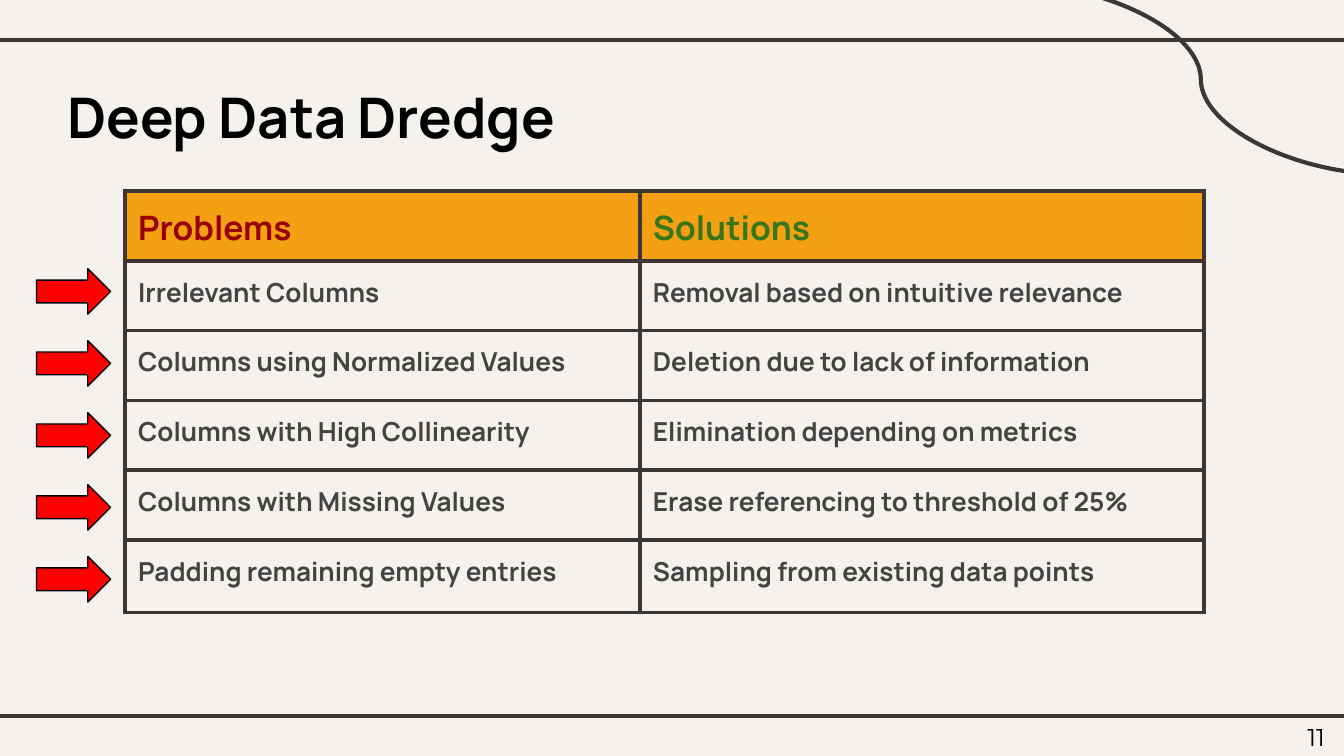
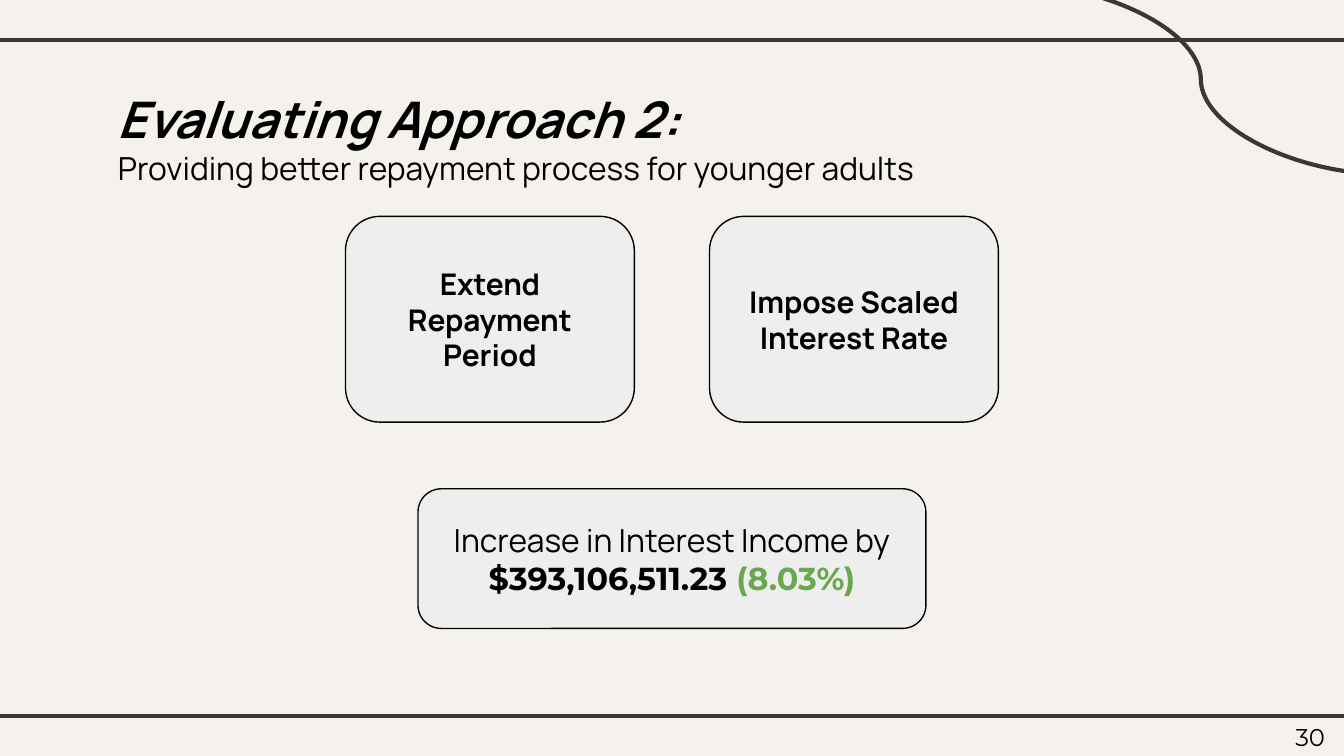
from lxml import etree
from pptx import Presentation
from pptx.dml.color import RGBColor
from pptx.enum import shapes, text
from pptx.oxml.ns import qn
from pptx.util import Cm, Pt

# ---- Content ----
DREDGE = {
    "title": "Deep Data Dredge",
    "number": "11",
    "header": ("Problems", "Solutions"),
    "rows": [
        ("Irrelevant Columns", "Removal based on intuitive relevance"),
        ("Columns using Normalized Values", "Deletion due to lack of information"),
        ("Columns with High Collinearity", "Elimination depending on metrics"),
        ("Columns with Missing Values", "Erase referencing to threshold of 25%"),
        ("Padding remaining empty entries", "Sampling from existing data points"),
    ],
}
APPROACH = {
    "title": "Evaluating Approach 2:",
    "subtitle": "Providing better repayment process for younger adults",
    "number": "30",
    "measures": ("Extend Repayment Period", "Impose Scaled Interest Rate"),
    "result": ("Increase in Interest Income by ", "$393,106,511.23 ", "(8.03%)"),
}

# ---- Shared look ----
PAPER = RGBColor(0xF5, 0xF2, 0xEE)
RULE = RGBColor(0x3F, 0x35, 0x33)
BLACK = RGBColor(0x00, 0x00, 0x00)
ORANGE = RGBColor(0xF3, 0xA1, 0x12)
PROBLEM_RED = RGBColor(0x99, 0x00, 0x00)
SOLUTION_GREEN = RGBColor(0x38, 0x76, 0x1D)
BODY_GREY = RGBColor(0x43, 0x43, 0x43)
ARROW_RED = RGBColor(0xFF, 0x00, 0x00)
CARD_GREY = RGBColor(0xEE, 0xEE, 0xEE)
GAIN_GREEN = RGBColor(0x6A, 0xA8, 0x4F)

SLIDE_W, SLIDE_H = 25.4, 14.29
INSET = Cm(0.25)
RULE_WIDTH = Pt(2.25)
LINK = shapes.MSO_CONNECTOR
FRAME_LINES = [
    (LINK.STRAIGHT, -0.2, 0.76, 25.6, 0.76),
    (LINK.STRAIGHT, -0.2, 13.54, 25.6, 13.54),
    (LINK.CURVE, 19.13, -0.3, 26.26, 3.3),
]


def font(size, color=BLACK, name="Manrope", bold=False, italic=False):
    return {"size": Pt(size), "name": name, "bold": bold, "italic": italic, "color": color}


def add_runs(paragraph, runs, align=text.PP_ALIGN.LEFT):
    paragraph.alignment = align
    for words, style in runs:
        run = paragraph.add_run()
        run.text = words
        for key, value in style.items():
            if key == "color":
                run.font.color.rgb = value
            else:
                setattr(run.font, key, value)


def set_margins(target):
    for side in ("left", "top", "right", "bottom"):
        setattr(target, f"margin_{side}", INSET)


def add_text(slide, left, top, width, height):
    frame = slide.shapes.add_textbox(Cm(left), Cm(top), Cm(width), Cm(height)).text_frame
    frame.word_wrap = True
    set_margins(frame)
    return frame


def add_filled(slide, kind, left, top, width, height, fill):
    shape = slide.shapes.add_shape(kind, Cm(left), Cm(top), Cm(width), Cm(height))
    shape.shadow.inherit = False
    shape.fill.solid()
    shape.fill.fore_color.rgb = fill
    shape.line.color.rgb = BLACK
    shape.line.width = Pt(0.75)
    return shape


def add_card(slide, left, top, width, height, runs):
    card = add_filled(slide, shapes.MSO_SHAPE.ROUNDED_RECTANGLE,
                      left, top, width, height, CARD_GREY)
    frame = card.text_frame
    frame.word_wrap = True
    frame.vertical_anchor = text.MSO_ANCHOR.MIDDLE
    set_margins(frame)
    add_runs(frame.paragraphs[0], runs, text.PP_ALIGN.CENTER)


def add_base_slide(deck, number):
    slide = deck.slides.add_slide(deck.slide_layouts[6])
    slide.background.fill.solid()
    slide.background.fill.fore_color.rgb = PAPER
    for kind, *ends in FRAME_LINES:
        line = slide.shapes.add_connector(kind, *(Cm(end) for end in ends))
        line.line.color.rgb = RULE
        line.line.width = RULE_WIDTH
        etree.SubElement(line._element.spPr, qn("a:effectLst"))
    page = add_text(slide, 23.77, 13.41, 1.52, 1.09)
    add_runs(page.paragraphs[0], [(number, font(13, name="Montserrat"))],
             text.PP_ALIGN.RIGHT)
    return slide


# ---- Problems and solutions table ----
def border_cell(cell):
    properties = cell._tc.get_or_add_tcPr()
    for position, side in enumerate(("lnL", "lnR", "lnT", "lnB")):
        line = etree.Element(qn(f"a:{side}"), w=str(RULE_WIDTH))
        fill = etree.SubElement(line, qn("a:solidFill"))
        etree.SubElement(fill, qn("a:srgbClr"), val=str(RULE))
        properties.insert(position, line)


def build_dredge(deck):
    slide = add_base_slide(deck, DREDGE["number"])
    title = add_text(slide, 1.02, 1.32, 15.8, 1.8)
    add_runs(title.paragraphs[0], [(DREDGE["title"], font(30, bold=True))])

    column_widths = (9.73, 10.67)
    row_height, last_height = 1.32, 1.37
    lines = [DREDGE["header"], *DREDGE["rows"]]
    heights = [row_height] * (len(lines) - 1) + [last_height]
    grid = slide.shapes.add_table(len(lines), len(column_widths), Cm(2.36), Cm(3.61),
                                  Cm(sum(column_widths)), Cm(sum(heights))).table
    grid.first_row = grid.horz_banding = False
    for column, width in zip(grid.columns, column_widths):
        column.width = Cm(width)
    header_colors = (PROBLEM_RED, SOLUTION_GREEN)
    for r, (entries, height) in enumerate(zip(lines, heights)):
        grid.rows[r].height = Cm(height)
        for c, entry in enumerate(entries):
            cell = grid.cell(r, c)
            set_margins(cell)
            if r == 0:
                cell.fill.solid()
                cell.fill.fore_color.rgb = ORANGE
                style = font(18, header_colors[c], bold=True)
            else:
                cell.fill.background()
                style = font(14, BODY_GREY, bold=True)
            border_cell(cell)
            add_runs(cell.text_frame.paragraphs[0], [(entry, style)])

    # One arrow for each problem
    arrow_top, arrow_step = 5.08, 1.36
    for i in range(len(DREDGE["rows"])):
        add_filled(slide, shapes.MSO_SHAPE.RIGHT_ARROW, 0.69,
                   arrow_top + i * arrow_step, 1.4, 0.86, ARROW_RED)


# ---- Measures and their result ----
def build_approach(deck):
    slide = add_base_slide(deck, APPROACH["number"])
    heading = add_text(slide, 1.98, 1.24, 21.44, 1.6)
    title = heading.paragraphs[0]
    title.line_spacing = 1.15
    add_runs(title, [(APPROACH["title"], font(27, bold=True, italic=True))])
    add_runs(heading.add_paragraph(), [(APPROACH["subtitle"], font(17))])

    # Cards centred as a row
    measures = APPROACH["measures"]
    card_width, card_gap = 5.46, 1.42
    step = card_width + card_gap
    first_left = (SLIDE_W - len(measures) * step + card_gap) / 2
    for i, measure in enumerate(measures):
        add_card(slide, first_left + i * step, 4.09, card_width, 3.89,
                 [(measure, font(16, bold=True))])

    result_width = 9.6
    result_fonts = (font(17), font(17, name="Montserrat", bold=True),
                    font(17, GAIN_GREEN, "Montserrat", bold=True))
    add_card(slide, (SLIDE_W - result_width) / 2, 9.24, result_width, 2.64,
             zip(APPROACH["result"], result_fonts))


def main():
    deck = Presentation()
    deck.slide_width, deck.slide_height = Cm(SLIDE_W), Cm(SLIDE_H)
    build_dredge(deck)
    build_approach(deck)
    deck.save("out.pptx")


if __name__ == "__main__":
    main()
